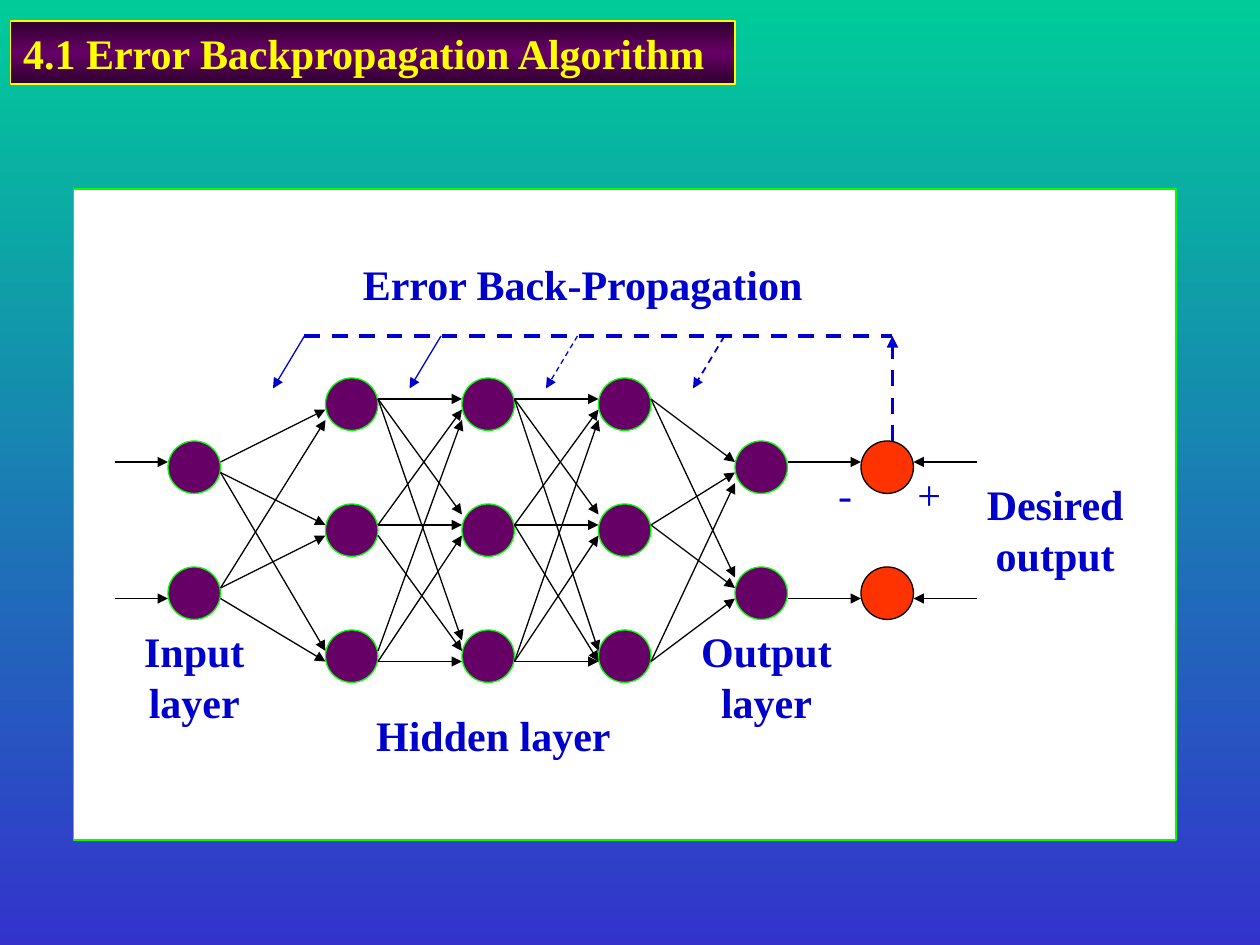
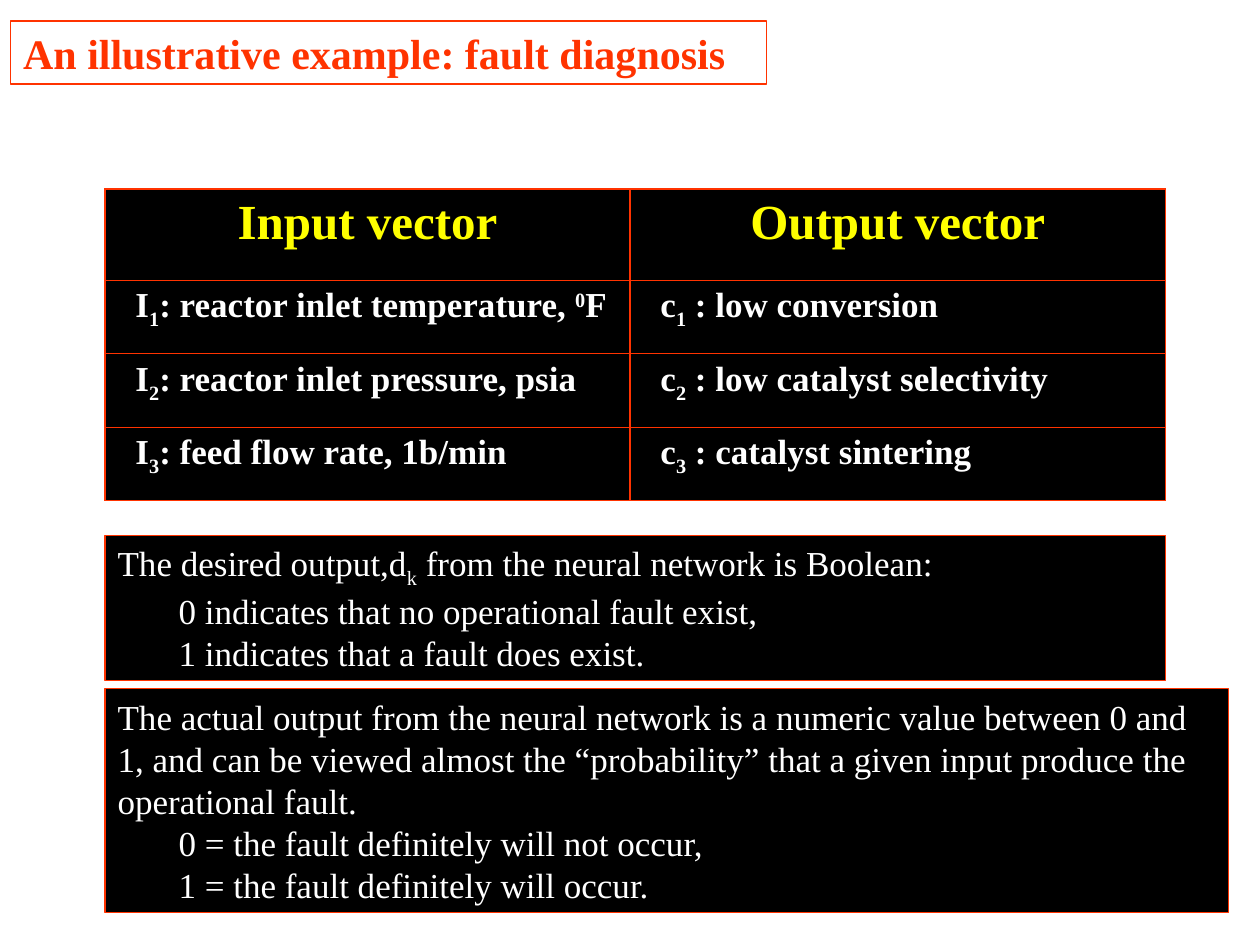
from typing import Any, NamedTuple

from lxml.etree import SubElement
from pptx import Presentation
from pptx.dml.color import RGBColor as Rgb
from pptx.enum.dml import MSO_LINE as Dash
from pptx.enum.shapes import MSO_CONNECTOR as Wire, MSO_SHAPE as Form
from pptx.enum.text import MSO_ANCHOR as Anchor, MSO_AUTO_SIZE as Fit, PP_ALIGN as Align
from pptx.oxml.ns import qn
from pptx.util import Emu, Pt
from copy import deepcopy

PX = 7620
FACE = "Times New Roman"
INK = {
    "teal": "00CC99", "indigo": "3333CC", "plum": "660066", "dusk": "2F002F",
    "yellow": "FFFF00", "lime": "00FF00", "red": "FF3300", "blue": "0000CC",
    "white": "FFFFFF", "black": "000000",
}
NODE = 50
DROP, RISE = -25000, 30000


class Box(NamedTuple):
    x: int
    y: int
    w: int
    h: int


class Bit(NamedTuple):
    text: str
    base: int = 0


class Row(NamedTuple):
    bits: list[Bit]
    inset: int = 0


class Look(NamedTuple):
    size: int
    ink: str
    bold: bool = False
    align: Align = Align.LEFT


class Layer(NamedTuple):
    x: int
    tops: list[int]
    fill: str = "plum"
    edge: str = "lime"


class Fan(NamedTuple):
    start: int
    end: int
    pairs: list[tuple[int, int]]


class Label(NamedTuple):
    box: Box
    lines: list[str]
    bold: bool = True


class Stroke(NamedTuple):
    ink: str = "black"
    width: float = 0.75
    dashed: bool = False
    arrow: bool = True


LAYERS = [
    Layer(160, [420, 540]),
    *[Layer(x, [360, 480, 600]) for x in (310, 440, 570)],
    Layer(700, [420, 540]),
    Layer(820, [420, 540], "red", "black"),
]
LEVEL = [(440, 440), (570, 570)]
FANS = [
    Fan(110, 160, LEVEL),
    Fan(210, 310, [(440, 390), (450, 500), (450, 620),
                   (560, 400), (560, 510), (570, 630)]),
    Fan(360, 440, [(380, 380), (380, 490), (380, 610), (500, 390), (500, 500),
                   (510, 620), (620, 400), (630, 510), (630, 630)]),
    Fan(490, 570, [(380, 380), (380, 490), (380, 620), (500, 390), (500, 500),
                   (500, 630), (630, 400), (630, 510), (630, 630)]),
    Fan(620, 700, [(380, 440), (380, 550), (500, 450),
                   (500, 560), (630, 460), (630, 570)]),
    Fan(750, 820, LEVEL),
    Fan(930, 870, LEVEL),
]
TAPS = {
    290: Stroke("blue"),
    420: Stroke("blue"),
    550: Stroke("blue", 0.75, True),
    690: Stroke("blue", 1, True),
}
LABELS = [
    Label(Box(320, 240, 470, 60), ["Error Back-Propagation"]),
    Label(Box(110, 590, 150, 108), ["Input", "layer"]),
    Label(Box(650, 590, 160, 108), ["Output", "layer"]),
    Label(Box(320, 670, 300, 60), ["Hidden layer"]),
    Label(Box(860, 440, 50, 60), ["+"], False),
    Label(Box(780, 440, 50, 60), ["-"], False),
    Label(Box(920, 450, 170, 108), ["Desired", "output"]),
]
HEADS = ["Input vector", "Output vector"]
INPUTS = [
    [Bit(": reactor inlet temperature, "), Bit("0", RISE), Bit("F")],
    [Bit(": reactor inlet pressure, psia")],
    [Bit(": feed flow rate, 1b/min")],
]
FAULTS = ["low conversion", "low catalyst selectivity", "catalyst sintering"]
NOTES = {
    Box(100, 510, 1010, 138): [
        Row([Bit("The desired output,d"), Bit("k", DROP),
             Bit(" from the neural network is Boolean:")]),
        Row([Bit("0 indicates that no operational fault exist,")], 58),
        Row([Bit("1 indicates that a fault does exist.")], 58),
    ],
    Box(100, 656, 1070, 213): [
        Row([Bit("The actual output from the neural network is a numeric value "
                 "between 0 and 1, and can be viewed almost the “probability” "
                 "that a given input produce the operational fault.")]),
        Row([Bit("0 = the fault definitely will not occur,")], 58),
        Row([Bit("1 = the fault definitely will occur.")], 58),
    ],
}


def px(count: int) -> Emu:
    return Emu(count * PX)


def tint(name: str) -> Rgb:
    return Rgb.from_string(INK[name])


def flood(fill: Any, name: str) -> None:
    fill.solid()
    fill.fore_color.rgb = tint(name)


def fade(fill: Any, owner: Any, names: list[str]) -> None:
    fill.gradient()
    fill.gradient_angle = 270
    stops = next(owner.iter(qn("a:gsLst")))
    while len(stops) < len(names):
        stops.append(deepcopy(stops[0]))
    for i, (stop, name) in enumerate(zip(fill.gradient_stops, names)):
        stop.color.rgb = tint(name)
        stop.position = i / (len(names) - 1)


def edge(shape: Any, name: str) -> None:
    shape.line.color.rgb = tint(name)
    shape.line.width = Pt(0.75)
    shape.shadow.inherit = False


def place(shape: Any, box: Box) -> None:
    shape.left, shape.top, shape.width, shape.height = map(px, box)


def write(frame: Any, rows: list[Row], look: Look) -> None:
    for i, row in enumerate(rows):
        para = frame.paragraphs[0] if i == 0 else frame.add_paragraph()
        props = para._p.get_or_add_pPr()
        props.set("marL", str(px(row.inset)))
        props.set("indent", "0")
        SubElement(props, qn("a:buNone"))
        para.alignment = look.align
        para.space_before = Pt(0)
        para.font.name = FACE
        para.font.size = Pt(look.size)
        para.font.bold = look.bold
        para.font.color.rgb = tint(look.ink)
        for bit in row.bits:
            run = para.add_run()
            run.text = bit.text
            if bit.base:
                run._r.get_or_add_rPr().set("baseline", str(bit.base))


def fill_box(shape: Any, box: Box, rows: list[Row], look: Look) -> None:
    place(shape, box)
    frame = shape.text_frame
    frame.word_wrap = True
    frame.auto_size = Fit.NONE
    frame.vertical_anchor = Anchor.TOP
    write(frame, rows, look)


def add_title(slide: Any, text: str, width: int, ink: str) -> Any:
    title = slide.shapes.title
    fill_box(title, Box(10, 20, width, 60), [Row([Bit(text)])], Look(24, ink, True))
    edge(title, ink)
    return title


def add_form(shapes: Any, form: Form, box: Box, fill: str, rim: str) -> None:
    shape = shapes.add_shape(form, *map(px, box))
    flood(shape.fill, fill)
    edge(shape, rim)


def add_line(shapes: Any, start: tuple[int, int], end: tuple[int, int],
             stroke: Stroke = Stroke()) -> None:
    wire = shapes.add_connector(Wire.STRAIGHT, *map(px, start + end))
    wire.line.color.rgb = tint(stroke.ink)
    wire.line.width = Pt(stroke.width)
    if stroke.dashed:
        wire.line.dash_style = Dash.DASH
    props = wire._element.spPr
    if stroke.arrow:
        SubElement(props.find(qn("a:ln")), qn("a:tailEnd"), type="triangle")
    SubElement(props, qn("a:effectLst"))


def add_cell(cell: Any, row: Row, look: Look) -> None:
    flood(cell.fill, "black")
    cell.margin_left = px(12)
    write(cell.text_frame, [row], look)
    props = cell._tc.get_or_add_tcPr()
    for i, side in enumerate("LRTB"):
        line = SubElement(props, qn(f"a:ln{side}"), w=str(Pt(0.75)))
        paint = SubElement(line, qn("a:solidFill"))
        SubElement(paint, qn("a:srgbClr"), val=INK["red"])
        props.insert(i, line)


def draw_net(deck: Any) -> None:
    slide = deck.slides.add_slide(deck.slide_layouts[5])
    fade(slide.background.fill, slide.element, ["teal", "indigo"])
    title = add_title(slide, "4.1 Error Backpropagation Algorithm", 690, "yellow")
    fade(title.fill, title.element, ["dusk", "plum", "dusk"])
    shapes = slide.shapes.add_group_shape().shapes
    add_form(shapes, Form.RECTANGLE, Box(70, 180, 1050, 620), "white", "lime")
    for layer in LAYERS:
        for top in layer.tops:
            add_form(shapes, Form.OVAL, Box(layer.x, top, NODE, NODE),
                     layer.fill, layer.edge)
    for fan in FANS:
        for start, end in fan.pairs:
            add_line(shapes, (fan.start, start), (fan.end, end))
    add_line(shapes, (850, 420), (850, 320), Stroke("blue", 2.25, True))
    add_line(shapes, (290, 320), (850, 320), Stroke("blue", 2.25, True, False))
    for x, stroke in TAPS.items():
        add_line(shapes, (x, 320), (x - 30, 370), stroke)
    for label in LABELS:
        fill_box(shapes.add_textbox(*map(px, label.box)), label.box,
                 [Row([Bit(line)]) for line in label.lines],
                 Look(24, "blue", label.bold, Align.CENTER))


def draw_case(deck: Any) -> None:
    slide = deck.slides.add_slide(deck.slide_layouts[3])
    flood(slide.background.fill, "white")
    title = add_title(slide, "An illustrative example: fault diagnosis", 720, "red")
    flood(title.fill, "white")
    for i, (box, rows) in enumerate(NOTES.items(), 1):
        note = slide.placeholders[i]
        fill_box(note, box, rows, Look(20, "white"))
        flood(note.fill, "black")
        edge(note, "red")
    table = slide.shapes.add_table(4, 2, *map(px, Box(100, 180, 1010, 297))).table
    table.first_row = table.horz_banding = False
    for col, width in zip(table.columns, (500, 510)):
        col.width = px(width)
    for line, height in zip(table.rows, (87, 70, 70, 70)):
        line.height = px(height)
    for col, head in enumerate(HEADS):
        add_cell(table.cell(0, col), Row([Bit(head)]),
                 Look(28, "yellow", True, Align.CENTER))
    for i, (bits, fault) in enumerate(zip(INPUTS, FAULTS), 1):
        sub = Bit(str(i), DROP)
        pair = [Bit("I"), sub, *bits], [Bit("c"), sub, Bit(f" : {fault}")]
        for col, text in enumerate(pair):
            add_cell(table.cell(i, col), Row(text, 17), Look(20, "white", True))


def main() -> None:
    deck = Presentation()
    deck.slide_width, deck.slide_height = px(1200), px(900)
    draw_net(deck)
    draw_case(deck)
    deck.save("out.pptx")


if __name__ == "__main__":
    main()
